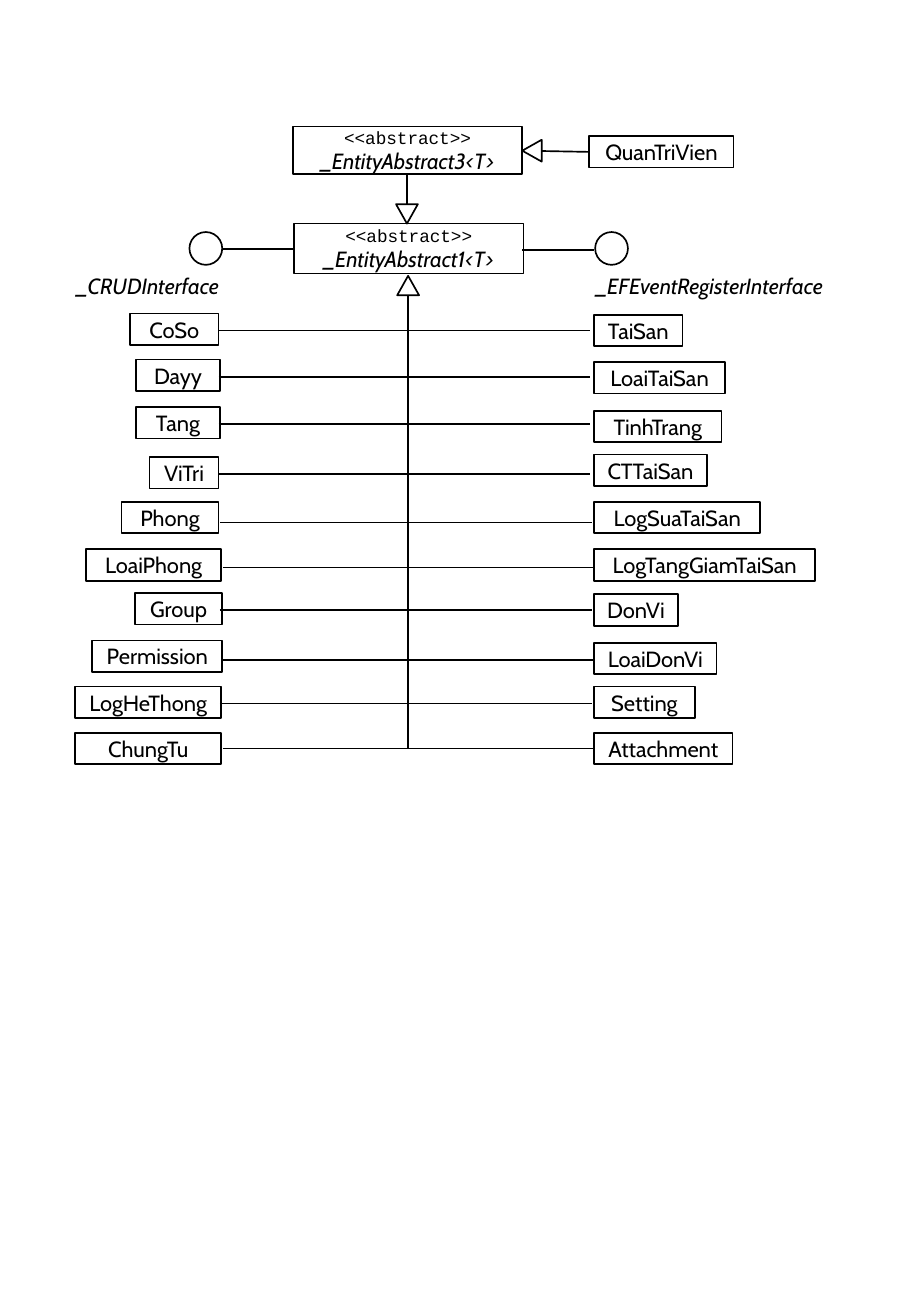
"""Build a class diagram slide of entities deriving from abstract base classes."""
from lxml import etree
from pptx import Presentation
from pptx.dml.color import RGBColor
from pptx.enum.shapes import MSO_CONNECTOR, MSO_SHAPE
from pptx.enum.text import MSO_ANCHOR, PP_ALIGN
from pptx.oxml.ns import qn
from pptx.util import Inches, Pt

RECT, OVAL, TRIANGLE = MSO_SHAPE.RECTANGLE, MSO_SHAPE.OVAL, MSO_SHAPE.ISOSCELES_TRIANGLE
STRAIGHT = MSO_CONNECTOR.STRAIGHT
MIDDLE, CENTER = MSO_ANCHOR.MIDDLE, PP_ALIGN.CENTER
BLACK, WHITE = "000000", "FFFFFF"
FONT, MONO = "Cabin", "Courier New"
BOX_H, RIGHT_X, BRANCH_W = 0.26, 4.89, 3.06

# name, left, top, width
LEFT_ENTITIES = [
    ("CoSo", 1.07, 2.58, 0.73),
    ("Dayy", 1.12, 2.96, 0.69),
    ("Tang", 1.12, 3.35, 0.69),
    ("ViTri", 1.23, 3.76, 0.57),
    ("Phong", 1, 4.13, 0.8),
    ("LoaiPhong", 0.71, 4.52, 1.11),
    ("Group", 1.11, 4.88, 0.72),
    ("Permission", 0.76, 5.27, 1.07),
    ("LogHeThong", 0.62, 5.65, 1.2),
    ("ChungTu", 0.62, 6.03, 1.2),
]
RIGHT_ENTITIES = [
    ("TaiSan", 2.59, 0.73),
    ("LoaiTaiSan", 2.98, 1.08),
    ("TinhTrang", 3.38, 1.05),
    ("CTTaiSan", 3.74, 0.93),
    ("LogSuaTaiSan", 4.13, 1.37),
    ("LogTangGiamTaiSan", 4.52, 1.82),
    ("DonVi", 4.89, 0.69),
    ("LoaiDonVi", 5.29, 1.01),
    ("Setting", 5.65, 0.83),
    ("Attachment", 6.03, 1.14),
]
BRANCHES = [(1.8, 2.72), (1.8, 3.1), (1.8, 3.49), (1.8, 3.9), (1.81, 4.3),
            (1.84, 4.67), (1.81, 5.02), (1.83, 5.43), (1.81, 5.79), (1.84, 6.16)]
ABSTRACTS = [("_EntityAbstract3<T>", 2.41, 1.04, 0.39),
             ("_EntityAbstract1<T>", 2.42, 1.84, 0.41)]
INTERFACES = [("_EFEventRegisterInterface", 4.67, 2.34, 4.9),
              ("_CRUDInterface", 0.44, 1.55, 1.56)]
LINKS = [(1.83, 2.05, 2.42, 2.05), (4.3, 2.06, RIGHT_X, 2.06),
         (4.3, 1.24, 4.85, 1.25), (3.35, 1.44, 3.35, 1.68),
         (3.36, 2.36, 3.36, 6.16)]
ARROWHEADS = [(4.29, 1.16, 270), (3.26, 1.68, 180), (3.27, 2.27, 0)]


def color(value):
    return RGBColor.from_string(value)


def add_shape(s, kind, x, y, w, h, lines=(), outlined=True):
    sp = s.shapes.add_shape(kind, Inches(x), Inches(y), Inches(w), Inches(h))
    sp.shadow.inherit = False
    sp.fill.solid()
    sp.fill.fore_color.rgb = color(WHITE)
    if outlined:
        sp.line.color.rgb = color(BLACK)
        sp.line.width = Pt(1)
    else:
        sp.line.fill.background()
    tf = sp.text_frame
    tf.word_wrap = True
    tf.vertical_anchor = MIDDLE
    tf.margin_left = tf.margin_right = tf.margin_top = tf.margin_bottom = 0
    for i, (text, font, size, italic) in enumerate(lines):
        p = tf.add_paragraph() if i else tf.paragraphs[0]
        p.text = text
        p.alignment = CENTER
        p.font.name = font
        p.font.size = Pt(size)
        p.font.italic = italic
        p.font.color.rgb = color(BLACK)
    return sp


def add_line(s, x1, y1, x2, y2):
    line = s.shapes.add_connector(STRAIGHT, Inches(x1), Inches(y1), Inches(x2), Inches(y2))
    line.line.color.rgb = color(BLACK)
    line.line.width = Pt(1)
    etree.SubElement(line._element.spPr, qn("a:effectLst"))


def main():
    prs = Presentation()
    prs.slide_width, prs.slide_height = Inches(7.5), Inches(10.83)
    s = prs.slides.add_slide(prs.slide_layouts[6])

    entities = LEFT_ENTITIES + [(name, RIGHT_X, y, w) for name, y, w in RIGHT_ENTITIES]
    for name, x, y, w in entities + [("QuanTriVien", 4.85, 1.12, 1.19)]:
        add_shape(s, RECT, x, y, w, BOX_H, [(name, FONT, 13, False)])
    for name, x, y, h in ABSTRACTS:
        add_shape(s, RECT, x, y, 1.89, h,
                  [("<<abstract>>", MONO, 10.5, False), (name, FONT, 13, True)])
    for name, x, w, circle_x in INTERFACES:
        add_shape(s, OVAL, circle_x, 1.91, 0.27, 0.27)
        add_shape(s, RECT, x, 2.21, w, 0.29, [(name, FONT, 13, True)], outlined=False)

    for x, y in BRANCHES:
        add_line(s, x, y, x + BRANCH_W, y)
    for link in LINKS:
        add_line(s, *link)
    for x, y, angle in ARROWHEADS:
        add_shape(s, TRIANGLE, x, y, 0.18, 0.16).rotation = angle

    prs.save("out.pptx")


if __name__ == "__main__":
    main()
